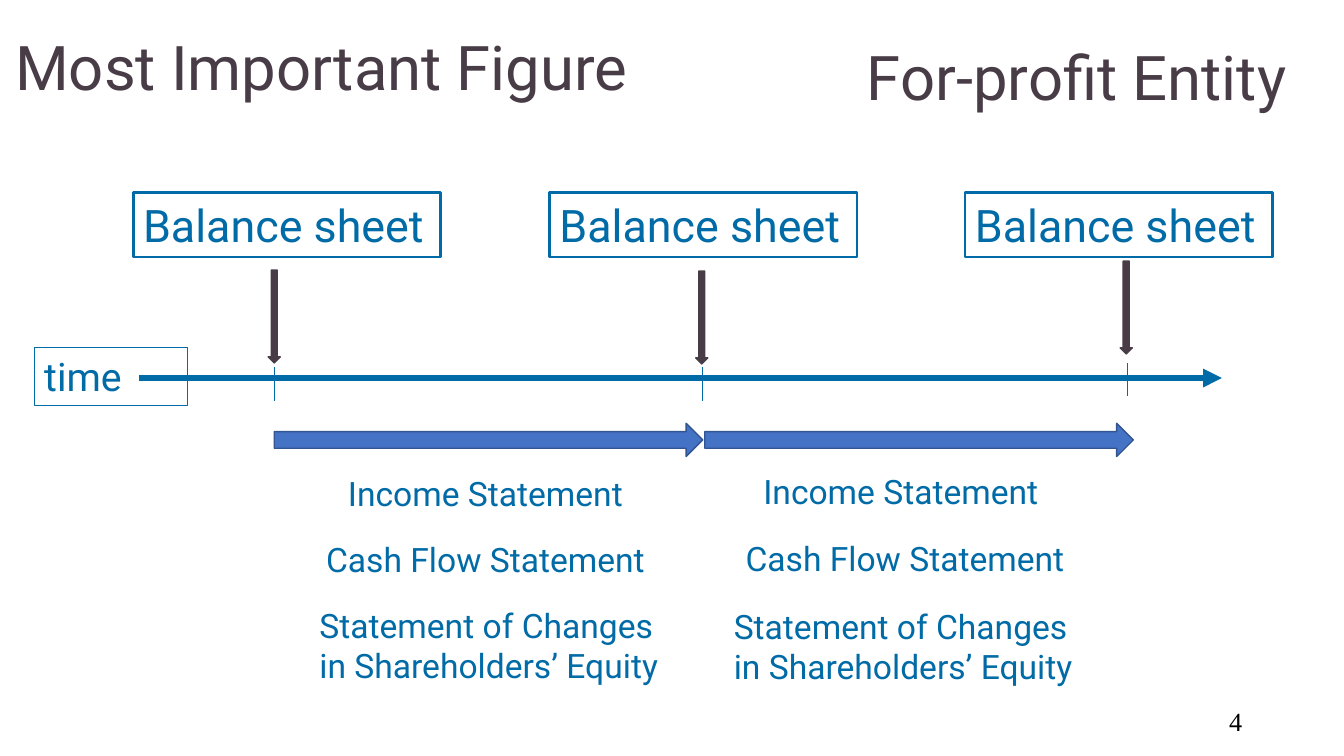
from lxml import etree
from pptx import Presentation
from pptx.dml.color import RGBColor
from pptx.enum.shapes import MSO_CONNECTOR, MSO_SHAPE
from pptx.enum.text import MSO_ANCHOR as ANCHOR, PP_ALIGN as ALIGN
from pptx.oxml.ns import qn
from pptx.util import Pt

PX = 9144  # 100 px to the inch
COLORS = {
    "blue": "006BA6",
    "plum": "483C46",
    "arrow": "4472C4",
    "arrow_edge": "325491",
    "black": "000000",
}


def write(shape, text, size=24, color="blue", font="Roboto", align=ALIGN.LEFT,
          anchor=ANCHOR.TOP, wrap=True, spacing=None):
    """Fill a shape with text, one paragraph per line."""
    frame = shape.text_frame
    frame.text = text
    frame.word_wrap = wrap
    frame.vertical_anchor = anchor
    for paragraph in frame.paragraphs:
        paragraph.alignment = align
        paragraph.line_spacing = spacing
        paragraph.font.size = Pt(size)
        paragraph.font.name = font
        paragraph.font.color.rgb = RGBColor.from_string(COLORS[color])


def add_shape(kind, left, top, width, height, line, weight, fill=None):
    shape = slide.shapes.add_shape(kind, left * PX, top * PX, width * PX, height * PX)
    shape.shadow.inherit = False
    if fill:
        shape.fill.solid()
        shape.fill.fore_color.rgb = RGBColor.from_string(COLORS[fill])
    else:
        shape.fill.background()
    shape.line.color.rgb = RGBColor.from_string(COLORS[line])
    shape.line.width = Pt(weight)
    return shape


presentation = Presentation()
presentation.slide_width = 1333 * PX
presentation.slide_height = 750 * PX
slide = presentation.slides.add_slide(presentation.slide_layouts[5])

# Headings
title = slide.shapes.title
title.left, title.top, title.width, title.height = 5 * PX, 22 * PX, 926 * PX, 95 * PX
entity = slide.shapes.add_textbox(850 * PX, 41 * PX, 454 * PX, 77 * PX)
for heading, text in ((title, "Most Important Figure"), (entity, "For-profit Entity")):
    write(heading, text, size=44, color="plum", anchor=ANCHOR.MIDDLE, spacing=0.9)

# Time axis with its ticks
time_box = add_shape(MSO_SHAPE.RECTANGLE, 34, 345, 152, 57, "blue", 0.75)
write(time_box, "time", size=28)
axis_lines = (
    (138, 375, 1212, 375, 4.5),
    (272, 364, 272, 398, 0.75),
    (697, 364, 697, 398, 0.75),
    (1118, 360, 1118, 393, 0.75),
)
for x1, y1, x2, y2, weight in axis_lines:
    connector = slide.shapes.add_connector(
        MSO_CONNECTOR.STRAIGHT, x1 * PX, y1 * PX, x2 * PX, y2 * PX)
    connector.line.color.rgb = RGBColor.from_string(COLORS["blue"])
    connector.line.width = Pt(weight)
    properties = connector._element.spPr
    etree.SubElement(properties, qn("a:effectLst"))
    if y1 == y2:
        etree.SubElement(properties.find(qn("a:ln")), qn("a:tailEnd"), type="triangle")

# Balance sheets, each pointing at a moment on the axis
for box_left, arrow_left, arrow_top in ((132, 266, 268), (545, 690, 269), (957, 1111, 259)):
    sheet = add_shape(MSO_SHAPE.RECTANGLE, box_left, 191, 305, 64, "blue", 2)
    write(sheet, "Balance sheet", size=32, wrap=False)
    add_shape(MSO_SHAPE.DOWN_ARROW, arrow_left, arrow_top, 12, 92, "plum", 1, fill="plum")

# Periods between balance sheets, with the (left, top) of each statement
STATEMENTS = (
    ("Income Statement", 313, 50, ALIGN.CENTER, True),
    ("Cash Flow Statement", 359, 50, ALIGN.CENTER, True),
    ("Statement of Changes\nin Shareholders’ Equity", 373, 91, ALIGN.LEFT, False),
)
periods = (
    (272, ((325, 464), (302, 530), (307, 595))),
    (699, ((737, 462), (718, 529), (718, 596))),
)
for arrow_left, places in periods:
    add_shape(MSO_SHAPE.RIGHT_ARROW, arrow_left, 420, 425, 33, "arrow_edge", 1, fill="arrow")
    for (left, top), (text, width, height, align, wrap) in zip(places, STATEMENTS):
        label = slide.shapes.add_textbox(left * PX, top * PX, width * PX, height * PX)
        write(label, text, align=align, wrap=wrap)

page_number = slide.shapes.add_textbox(942 * PX, 695 * PX, 300 * PX, 40 * PX)
write(page_number, "4", size=18.7, color="black", font="Times New Roman",
      align=ALIGN.RIGHT, anchor=ANCHOR.MIDDLE)

presentation.save("out.pptx")
